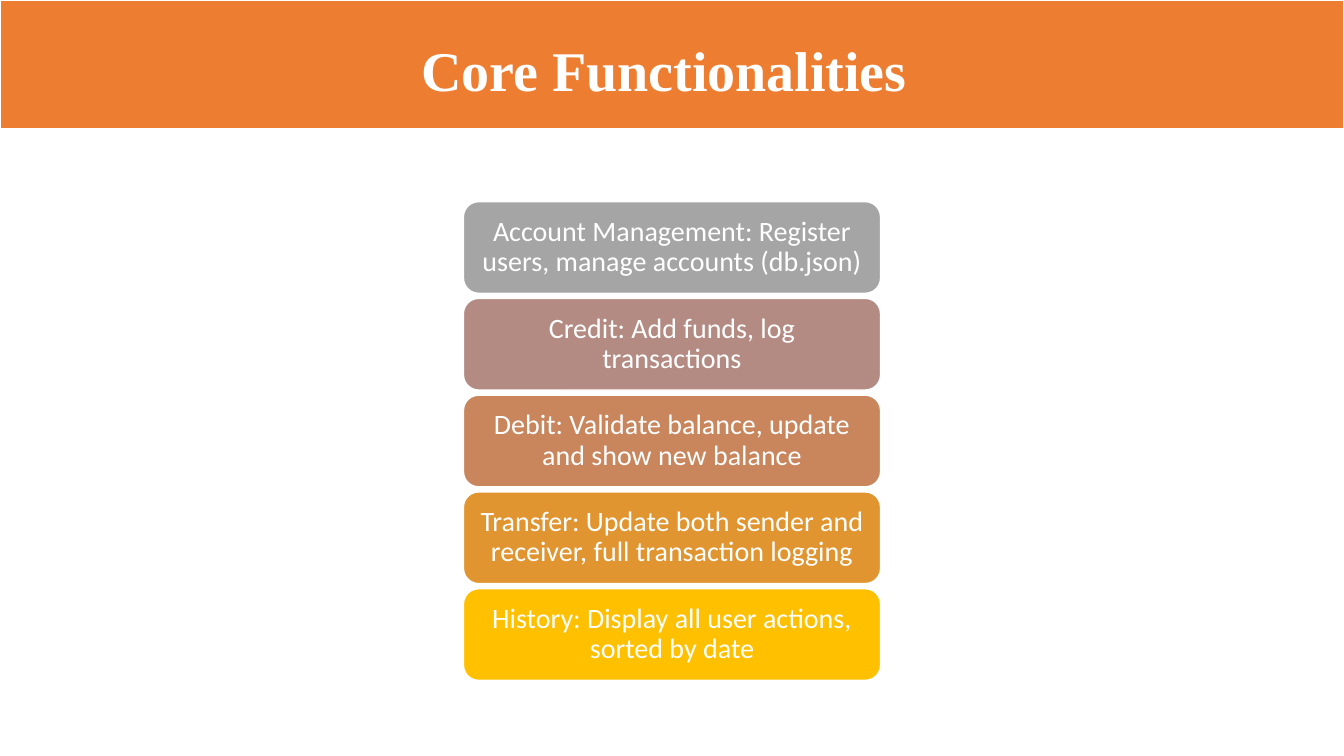
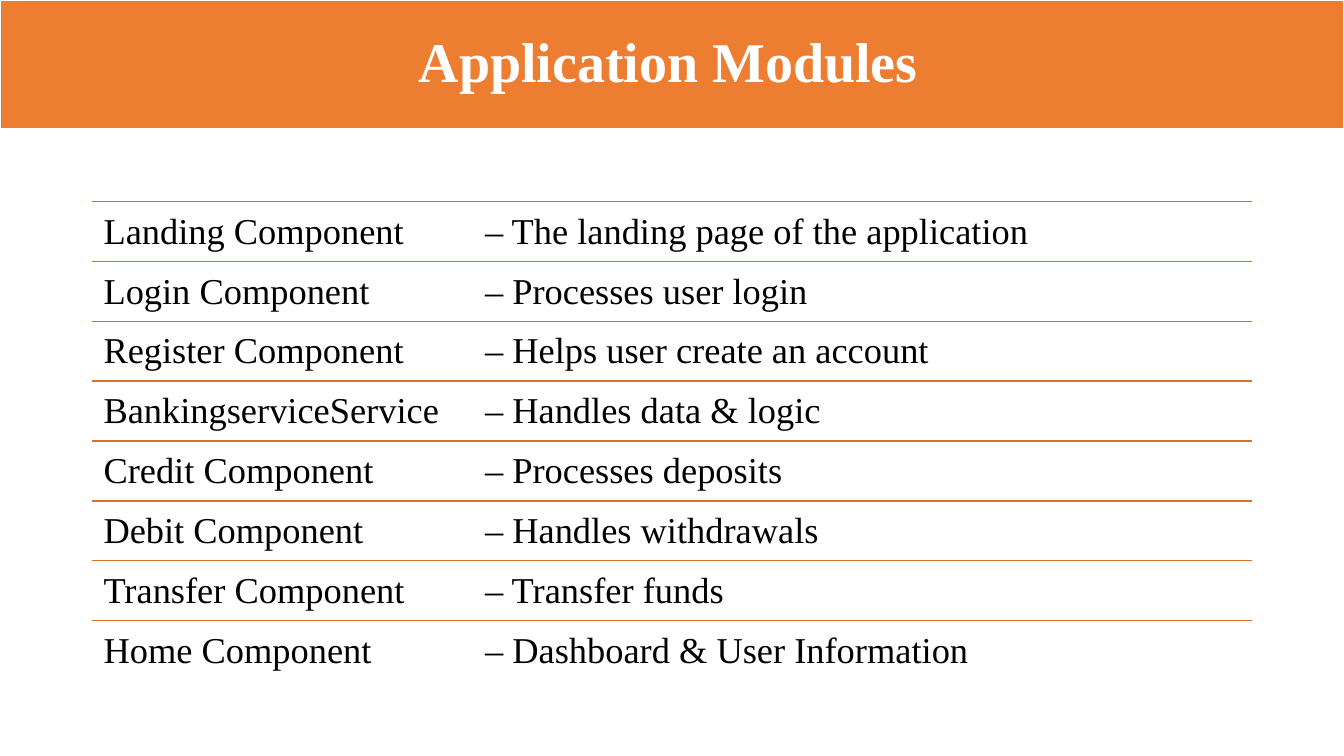
from lxml import etree
from pptx import Presentation
from pptx.dml.color import RGBColor
from pptx.enum.shapes import MSO_CONNECTOR, MSO_SHAPE
from pptx.enum.text import MSO_ANCHOR, PP_ALIGN
from pptx.oxml.ns import qn
from pptx.util import Pt

RECTANGLE, ROUNDED = MSO_SHAPE.RECTANGLE, MSO_SHAPE.ROUNDED_RECTANGLE
STRAIGHT = MSO_CONNECTOR.STRAIGHT
TOP, MIDDLE = MSO_ANCHOR.TOP, MSO_ANCHOR.MIDDLE
LEFT, CENTER = PP_ALIGN.LEFT, PP_ALIGN.CENTER

WHITE = RGBColor(0xFF, 0xFF, 0xFF)
BLACK = RGBColor(0x00, 0x00, 0x00)
ORANGE = RGBColor(0xED, 0x7D, 0x31)
RULE_ORANGE = RGBColor(0xD7, 0x71, 0x2C)
GREY = RGBColor(0xA5, 0xA5, 0xA5)
ROSE = RGBColor(0xB4, 0x8B, 0x83)
COPPER = RGBColor(0xC9, 0x85, 0x5C)
AMBER = RGBColor(0xE1, 0x95, 0x30)
GOLD = RGBColor(0xFF, 0xC0, 0x00)

SLIDE_WIDTH, SLIDE_HEIGHT = 960, 540
BAND_HEIGHT = 92
CONTENT_TOP, CONTENT_HEIGHT = 144, 342
CARD_WIDTH, CARD_GAP = 298, 3.6
ROW_LEFT, ROW_WIDTH = 66, 828
DESCRIPTION_TAB = 272.5

TITLE_FONT = {"name": "Times New Roman", "size": Pt(40), "bold": True}
ROW_FONT = {"name": "Times New Roman", "size": Pt(26)}
CARD_FONT = {"name": "Calibri", "size": Pt(20)}

FUNCTIONALITIES = [
    ("Account Management: Register users, manage accounts (db.json)", GREY),
    ("Credit: Add funds, log transactions", ROSE),
    ("Debit: Validate balance, update and show new balance", COPPER),
    ("Transfer: Update both sender and receiver, full transaction logging", AMBER),
    ("History: Display all user actions, sorted by date", GOLD),
]
MODULES = [
    ("Landing Component", "The landing page of the application"),
    ("Login Component", "Processes user login"),
    ("Register Component", "Helps user create an account"),
    ("BankingserviceService", "Handles data & logic"),
    ("Credit Component", "Processes deposits"),
    ("Debit Component", "Handles withdrawals"),
    ("Transfer Component", "Transfer funds"),
    ("Home Component", "Dashboard & User Information"),
]


def apply(target, values):
    """Set each attribute named in the dict on the target."""
    for name, value in values.items():
        setattr(target, name, value)


class Deck:
    def __init__(self):
        self.presentation = Presentation()
        self.presentation.slide_width = Pt(SLIDE_WIDTH)
        self.presentation.slide_height = Pt(SLIDE_HEIGHT)
        self.slide = None

    def add_slide(self, title, left, top):
        """Start a slide with the orange band and its title."""
        layout = self.presentation.slide_layouts[6]
        self.slide = self.presentation.slides.add_slide(layout)
        self.block(RECTANGLE, 0, 0, SLIDE_WIDTH, BAND_HEIGHT, ORANGE, 1.5)
        self.text_box(title, left, top, 424, 104.4, TITLE_FONT, WHITE, MIDDLE, (7.2, 3.6))

    def block(self, kind, left, top, width, height, color, line_width):
        shape = self.slide.shapes.add_shape(kind, Pt(left), Pt(top), Pt(width), Pt(height))
        shape.shadow.inherit = False
        shape.fill.solid()
        shape.fill.fore_color.rgb = color
        shape.line.color.rgb = WHITE
        shape.line.width = Pt(line_width)
        return shape

    def fill_text(self, shape, text, font, color, anchor, alignment, insets):
        """Fill a shape with one styled paragraph; insets are (side, top and bottom)."""
        side, end = map(Pt, insets)
        frame = shape.text_frame
        apply(frame, {"word_wrap": True, "vertical_anchor": anchor,
                      "margin_left": side, "margin_right": side,
                      "margin_top": end, "margin_bottom": end})
        paragraph = frame.paragraphs[0]
        apply(paragraph, {"alignment": alignment, "line_spacing": 0.9})
        run = paragraph.add_run()
        run.text = text
        apply(run.font, font)
        run.font.color.rgb = color
        return paragraph

    def text_box(self, text, left, top, width, height, font, color, anchor, insets):
        shape = self.slide.shapes.add_textbox(Pt(left), Pt(top), Pt(width), Pt(height))
        return self.fill_text(shape, text, font, color, anchor, LEFT, insets)

    def card(self, text, top, height, color):
        left = (SLIDE_WIDTH - CARD_WIDTH) / 2
        shape = self.block(ROUNDED, left, top, CARD_WIDTH, height, color, 1)
        self.fill_text(shape, text, CARD_FONT, WHITE, MIDDLE, CENTER, (6, 3))

    def rule(self, top):
        line = self.slide.shapes.add_connector(
            STRAIGHT, Pt(ROW_LEFT), Pt(top), Pt(ROW_LEFT + ROW_WIDTH), Pt(top))
        line.line.color.rgb = RULE_ORANGE
        line.line.width = Pt(1)
        etree.SubElement(line._element.spPr, qn("a:effectLst"))

    def module_row(self, name, description, top, height):
        self.rule(top)
        paragraph = self.text_box(f"{name}\t– {description}", ROW_LEFT, top, ROW_WIDTH,
                                  height, ROW_FONT, BLACK, TOP, (8, 8))
        tabs = etree.SubElement(paragraph._p.get_or_add_pPr(), qn("a:tabLst"))
        etree.SubElement(tabs, qn("a:tab"), pos=str(Pt(DESCRIPTION_TAB)), algn="l")


def main():
    deck = Deck()

    deck.add_slide("Core Functionalities", 294, 0)
    count = len(FUNCTIONALITIES)
    card_height = (CONTENT_HEIGHT - (count - 1) * CARD_GAP) / count
    for index, (text, color) in enumerate(FUNCTIONALITIES):
        deck.card(text, CONTENT_TOP + index * (card_height + CARD_GAP), card_height, color)

    deck.add_slide("Application Modules", 292, -6.5)
    row_height = CONTENT_HEIGHT / len(MODULES)
    for index, (name, description) in enumerate(MODULES):
        deck.module_row(name, description, CONTENT_TOP + index * row_height, row_height)

    deck.presentation.save("out.pptx")


if __name__ == "__main__":
    main()
